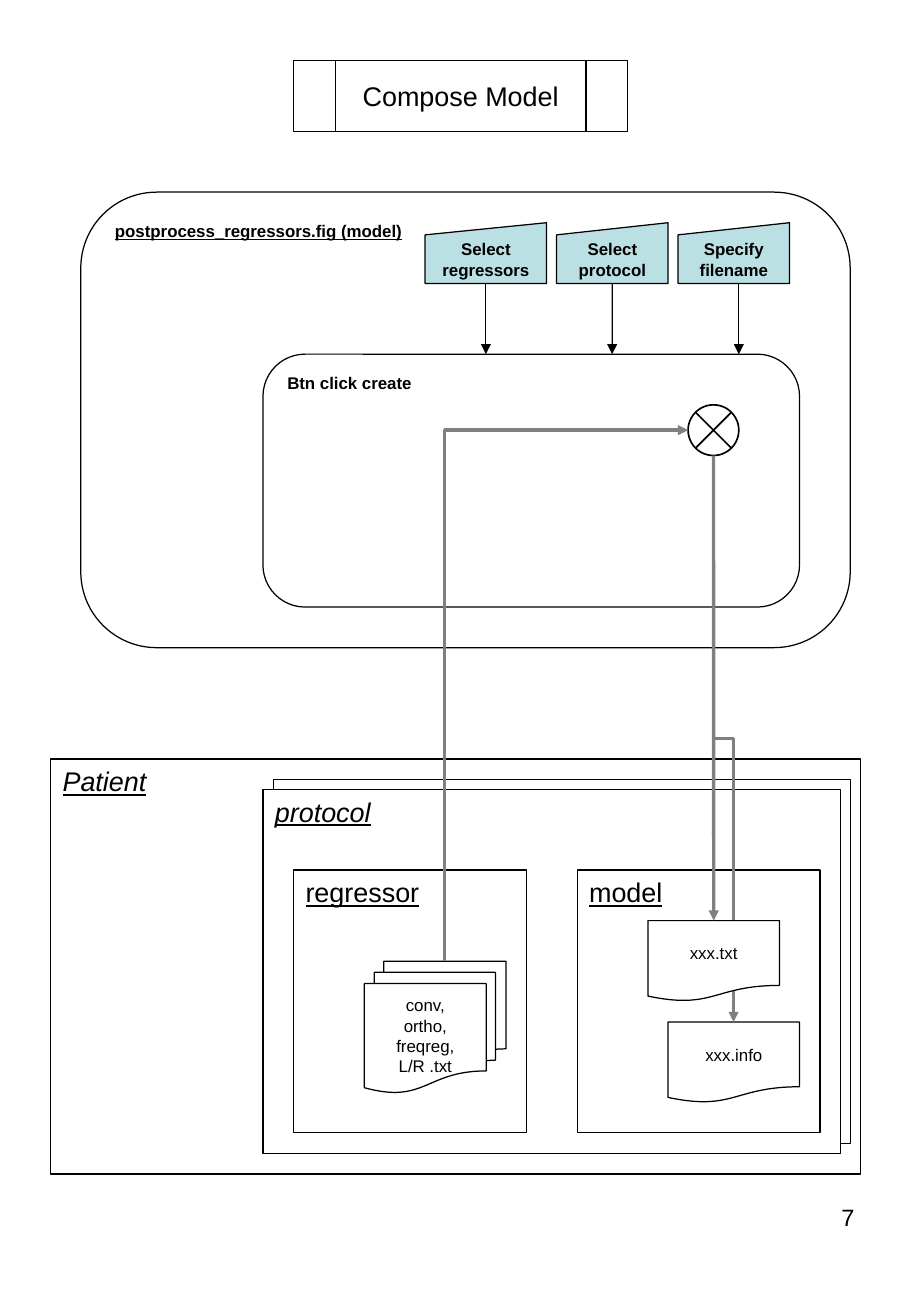
import pptx
import pptx.util
import pptx.dml.color
import pptx.enum.shapes
import pptx.enum.text
import pptx.oxml
import pptx.oxml.ns

Cm = pptx.util.Cm
Pt = pptx.util.Pt
SHAPE = pptx.enum.shapes.MSO_SHAPE
CONNECTOR = pptx.enum.shapes.MSO_CONNECTOR
ALIGN = pptx.enum.text.PP_ALIGN
ANCHOR = pptx.enum.text.MSO_ANCHOR
COLORS = {"black": "000000", "white": "FFFFFF", "input": "BBE0E3", "flow": "808080"}


def rgb(name):
    return pptx.dml.color.RGBColor.from_string(COLORS[name])


presentation = pptx.Presentation()
presentation.slide_width = Cm(19.05)
presentation.slide_height = Cm(27.53)
slide = presentation.slides.add_slide(presentation.slide_layouts[5])
shapes = slide.shapes

# Title placeholder, page number and the frame around the title
title = shapes.title
title.left, title.top, title.width, title.height = Cm(6.14), Cm(1.27), Cm(6.99), Cm(1.48)
number = shapes.add_textbox(Cm(13.67), Cm(25.04), Cm(4.45), Cm(1.9))
headings = [
    (title, "Compose Model", 16, ALIGN.CENTER, ANCHOR.MIDDLE),
    (number, "7", 14, ALIGN.RIGHT, ANCHOR.TOP),
]
for shape, text, size, align, anchor in headings:
    text_frame = shape.text_frame
    text_frame.text = text
    text_frame.word_wrap = True
    text_frame.auto_size = pptx.enum.text.MSO_AUTO_SIZE.NONE
    text_frame.vertical_anchor = anchor
    paragraph = text_frame.paragraphs[0]
    paragraph.alignment = align
    font = paragraph.runs[0].font
    font.name, font.size = "Arial", Pt(size)
    font.color.rgb = rgb("black")

# Boxes: name, kind, (left, top, width, height), fill, text, size, styles, centred
boxes = [
    ("title frame", SHAPE.FLOWCHART_PREDEFINED_PROCESS, (6.14, 1.27, 6.99, 1.48), None, "", 16, "", True),
    ("protocol behind", SHAPE.RECTANGLE, (5.72, 16.3, 12.07, 7.62), "white", "", 16, "", False),
    ("protocol", SHAPE.RECTANGLE, (5.5, 16.51, 12.07, 7.62), "white", "protocol", 16, "iu", False),
    ("patient", SHAPE.RECTANGLE, (1.06, 15.88, 16.93, 8.68), None, "Patient", 16, "iu", False),
    ("regressor", SHAPE.RECTANGLE, (6.14, 18.2, 4.87, 5.5), None, "regressor", 16, "u", False),
    ("model", SHAPE.RECTANGLE, (12.07, 18.2, 5.08, 5.5), None, "model", 16, "u", False),
    ("figure", SHAPE.FLOWCHART_ALTERNATE_PROCESS, (1.69, 4.02, 16.09, 9.53), None,
     "postprocess_regressors.fig (model)", 10, "bu", False),
    ("create", SHAPE.FLOWCHART_ALTERNATE_PROCESS, (5.5, 7.41, 11.22, 5.29), None,
     "Btn click create", 10, "b", False),
    ("regressor files", SHAPE.FLOWCHART_MULTIDOCUMENT, (7.62, 20.11, 2.96, 2.75), "white",
     "conv,\northo,\nfreqreg,\nL/R .txt", 10, "", True),
    ("junction", SHAPE.FLOWCHART_SUMMING_JUNCTION, (14.39, 8.47, 1.06, 1.06), None, "", 10, "", True),
    ("info file", SHAPE.FLOWCHART_DOCUMENT, (13.97, 21.38, 2.75, 1.69), "white", "xxx.info", 10, "", True),
    ("bends", None, None, None, "", 10, "", True),
    ("text file", SHAPE.FLOWCHART_DOCUMENT, (13.55, 19.26, 2.75, 1.69), "white", "xxx.txt", 10, "", True),
]

# The three inputs stand in a row with equal gaps
input_left = 8.89
for text, width in [("Select\nregressors", 2.54), ("Select\nprotocol", 2.33), ("Specify\nfilename", 2.33)]:
    frame = (input_left, 4.66, width, 1.27)
    boxes.append((text, SHAPE.FLOWCHART_MANUAL_INPUT, frame, "input", text, 10, "b", True))
    input_left += width + 0.21


def add_arrow(kind, start, end, color, width):
    connector = shapes.add_connector(kind, Cm(start[0]), Cm(start[1]), Cm(end[0]), Cm(end[1]))
    connector.line.color.rgb = rgb(color)
    connector.line.width = Pt(width)
    pptx.oxml.ns.qn("a:ln")
    line = connector.line._get_or_add_ln()
    line.append(pptx.oxml.parse_xml(
        '<a:tailEnd xmlns:a="http://schemas.openxmlformats.org/drawingml/2006/main" type="triangle"/>'))
    properties = connector.element.spPr
    properties.append(properties.makeelement(pptx.oxml.ns.qn("a:effectLst"), {}))
    return connector


# Bent flows: start, end, preset, quarter-turned box
bends = [
    ((9.3, 20.11), (14.39, 9.0), "bentConnector2", {"rot": "5400000", "flipH": "1", "flipV": "1"}),
    ((14.92, 9.53), (15.34, 21.38), "bentConnector3", {"rot": "16200000", "flipH": "1"}),
]

placed = {}
for name, kind, frame, fill, text, size, styles, centred in boxes:
    if name == "bends":
        for start, end, preset, turn in bends:
            # The unturned box shares its centre with the turned one
            center_x, center_y = (start[0] + end[0]) / 2, (start[1] + end[1]) / 2
            half_width, half_height = abs(end[1] - start[1]) / 2, abs(end[0] - start[0]) / 2
            bend = add_arrow(CONNECTOR.ELBOW, (center_x - half_width, center_y - half_height),
                             (center_x + half_width, center_y + half_height), "flow", 2)
            properties = bend.element.spPr
            properties.find(pptx.oxml.ns.qn("a:prstGeom")).set("prst", preset)
            for key, value in turn.items():
                properties.find(pptx.oxml.ns.qn("a:xfrm")).set(key, value)
        continue
    shape = placed[name] = shapes.add_shape(kind, *[Cm(length) for length in frame])
    shape.shadow.inherit = False
    if fill:
        shape.fill.solid()
        shape.fill.fore_color.rgb = rgb(fill)
    else:
        shape.fill.background()
    shape.line.color.rgb = rgb("black")
    shape.line.width = Pt(1 if name == "junction" else 0.75)
    if not text:
        continue
    text_frame = shape.text_frame
    text_frame.text = text
    text_frame.word_wrap = not centred
    text_frame.vertical_anchor = ANCHOR.MIDDLE if centred else ANCHOR.TOP
    for paragraph in text_frame.paragraphs:
        paragraph.alignment = ALIGN.CENTER if centred else ALIGN.LEFT
        for run in paragraph.runs:
            font = run.font
            font.name, font.size = "Arial", Pt(size)
            font.color.rgb = rgb("black")
            font.bold, font.italic, font.underline = "b" in styles, "i" in styles, "u" in styles

# Arrows from the inputs to the create step; the last one sits off centre
for name, x in [("Select\nregressors", 10.16), ("Select\nprotocol", 12.8), ("Specify\nfilename", 15.45)]:
    arrow = add_arrow(CONNECTOR.STRAIGHT, (x, 5.93), (x, 7.41), "black", 0.75)
    if name != "Specify\nfilename":
        arrow.begin_connect(placed[name], 2)

# Straight flow from the junction to the text file
flow = add_arrow(CONNECTOR.STRAIGHT, (14.92, 9.53), (14.92, 19.26), "flow", 2)
flow.end_connect(placed["text file"], 0)

presentation.save("out.pptx")
